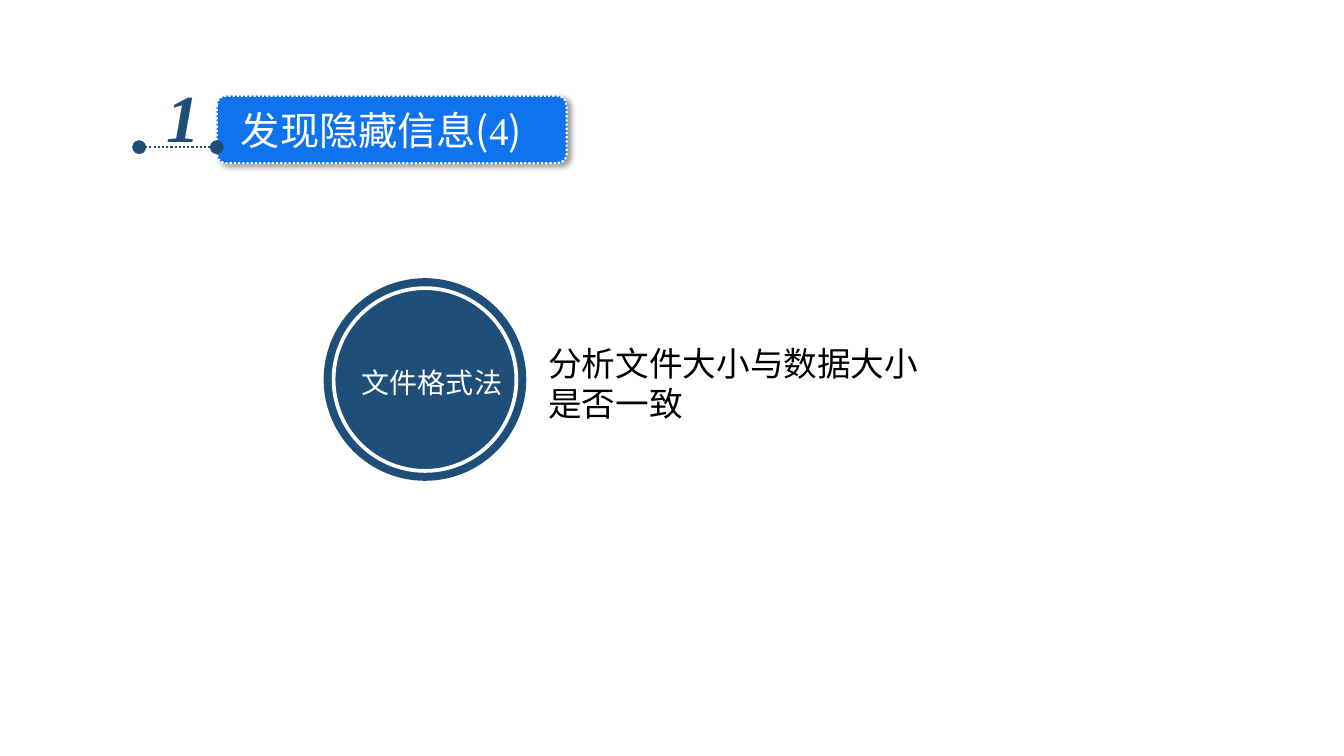
"""Build the slide on finding hidden information with the file format method."""
from lxml.etree import SubElement
from pptx import Presentation
from pptx.dml.color import RGBColor
from pptx.enum.dml import MSO_LINE
from pptx.enum.shapes import MSO_CONNECTOR, MSO_SHAPE
from pptx.enum.text import MSO_ANCHOR, MSO_AUTO_SIZE, PP_ALIGN
from pptx.oxml.ns import qn
from pptx.util import Inches, Pt

NAVY, BLUE, WHITE, BLACK = "1F4E79", "0F73EE", "FFFFFF", "000000"
CJK, LATIN = "Noto Sans CJK SC", "Times New Roman"


def color(hex_value):
    """Turn a hex string into a colour."""
    return RGBColor.from_string(hex_value)


def write_text(shape, runs, hex_value, frame_format, font_format, alignment=PP_ALIGN.LEFT):
    """Fill a shape with one paragraph of (text, typeface) runs."""
    for name, value in frame_format.items():
        setattr(shape.text_frame, name, value)
    paragraph = shape.text_frame.paragraphs[0]
    paragraph.alignment = alignment
    for text, typeface in runs:
        run = paragraph.add_run()
        run.text = text
        for name, value in font_format.items():
            setattr(run.font, name, value)
        run.font.color.rgb = color(hex_value)
        run.font.name = typeface
        SubElement(run.font._element, qn("a:ea"), typeface=typeface)


presentation = Presentation()
presentation.slide_width, presentation.slide_height = Inches(13.33), Inches(7.5)
slide = presentation.slides.add_slide(presentation.slide_layouts[5])

shapes = {}
for name, kind, left, top, width, height, fill in (
    ("banner", MSO_SHAPE.ROUNDED_RECTANGLE, 2.15, 0.95, 3.47, 0.67, BLUE),
    ("disc", MSO_SHAPE.OVAL, 3.21, 2.76, 2.01, 2.01, NAVY),
    ("ring", MSO_SHAPE.DONUT, 3.29, 2.84, 1.85, 1.85, WHITE),
):
    shape = slide.shapes.add_shape(kind, Inches(left), Inches(top), Inches(width), Inches(height))
    shape.shadow.inherit = False
    shape.fill.solid()
    shape.fill.fore_color.rgb = color(fill)
    shape.line.fill.background()
    shapes[name] = shape

banner = shapes["banner"]
banner.adjustments[0] = 0.14
shapes["ring"].adjustments[0] = 0.02
shadow = SubElement(banner._element.spPr.find(qn("a:effectLst")), qn("a:outerShdw"),
                    blurRad=str(Pt(4)), dist=str(Pt(3)), dir="2700000",
                    algn="tl", rotWithShape="0")
shadow_color = SubElement(shadow, qn("a:srgbClr"), val=BLACK)
SubElement(shadow_color, qn("a:alpha"), val="40000")

number_line = slide.shapes.add_connector(
    MSO_CONNECTOR.STRAIGHT, Inches(1.38), Inches(1.46), Inches(2.15), Inches(1.46))
for line, hex_value in ((banner.line, WHITE), (number_line.line, NAVY)):
    line.color.rgb = color(hex_value)
    line.width = Pt(1.5)
    line.dash_style = MSO_LINE.ROUND_DOT
for end in ("a:headEnd", "a:tailEnd"):
    SubElement(number_line.line._get_or_add_ln(), qn(end), type="oval", w="lg", len="lg")
SubElement(number_line._element.spPr, qn("a:effectLst"))

title = slide.shapes.title
for name, value in {"left": 2.29, "top": 1, "width": 3.3, "height": 0.57}.items():
    setattr(title, name, Inches(value))
slide.shapes._spTree.append(title._element)
write_text(title, (("发现隐藏信息(", CJK), ("4", LATIN), (")", CJK)), WHITE,
           {"word_wrap": True, "auto_size": MSO_AUTO_SIZE.NONE,
            "vertical_anchor": MSO_ANCHOR.TOP},
           {"size": Pt(28)})

for text, typeface, left, top, width, height, hex_value, wrap, alignment, font_format in (
    ("1", LATIN, 1.55, 0.7, 0.54, 0.91, NAVY, False, PP_ALIGN.LEFT,
     {"size": Pt(48), "bold": True, "italic": True}),
    ("文件格式法", CJK, 3.41, 3.58, 1.75, 0.44, WHITE, True, PP_ALIGN.CENTER, {"size": Pt(20)}),
    ("分析文件大小与数据大小是否一致", CJK, 5.34, 3.35, 4.12, 0.91, BLACK, True, PP_ALIGN.LEFT,
     {"size": Pt(24)}),
):
    box = slide.shapes.add_textbox(Inches(left), Inches(top), Inches(width), Inches(height))
    write_text(box, ((text, typeface),), hex_value, {"word_wrap": wrap}, font_format, alignment)

presentation.save("out.pptx")
